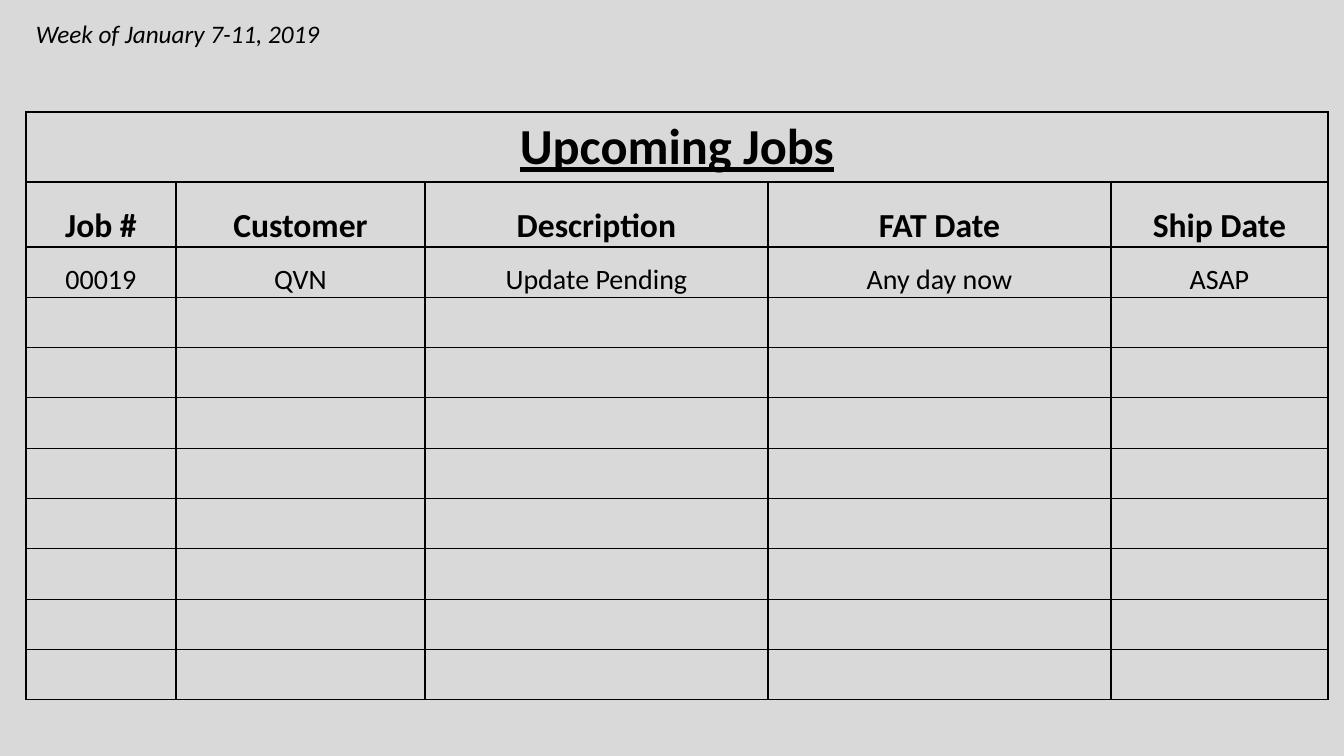
from lxml import etree
from pptx import Presentation, util as u
from pptx.dml.color import RGBColor
from pptx.enum import text
from pptx.oxml import ns

BACKGROUND = RGBColor(0xD9, 0xD9, 0xD9)
INK = RGBColor(0, 0, 0)
HEADERS = ["Job #", "Customer", "Description", "FAT Date", "Ship Date"]
JOB = ["00019", "QVN", "Update Pending", "Any day now", "ASAP"]
COLUMN_WIDTHS = [150, 249, 343, 343, 217]
TITLE_HEIGHT, HEADER_HEIGHT, BODY_HEIGHT, BODY_ROWS = 70, 65, 453, 9


class JobSlide:
    """Holds the style and the current slide, and adds its elements."""

    font_name = "Calibri"
    scale = 914400 / 100.8

    def __init__(self, presentation):
        presentation.slide_width = self.px(1344)
        presentation.slide_height = self.px(756)
        self.slide = presentation.slides.add_slide(presentation.slide_layouts[6])
        fill = self.slide.background.fill
        fill.solid()
        fill.fore_color.rgb = BACKGROUND

    def px(self, length):
        return u.Emu(round(length * self.scale))

    def set_text(self, frame, words, size, bold=False, italic=False, underline=False):
        paragraph = frame.paragraphs[0]
        paragraph.text = words
        font = paragraph.font
        font.name, font.size = self.font_name, u.Pt(size)
        font.bold, font.italic, font.underline = bold, italic, underline
        font.color.rgb = INK
        return paragraph

    def label(self, left, top, width, height, words, size, **style):
        box = self.slide.shapes.add_textbox(*map(self.px, (left, top, width, height)))
        box.text_frame.word_wrap = True
        box.text_frame.auto_size = text.MSO_AUTO_SIZE.SHAPE_TO_FIT_TEXT
        self.set_text(box.text_frame, words, size, **style)

    def table(self, left, top, widths, heights):
        frame = self.slide.shapes.add_table(
            len(heights), len(widths),
            *map(self.px, (left, top, sum(widths), sum(heights))))
        table = frame.table
        table.first_row = table.horz_banding = False
        for column, width in zip(table.columns, widths):
            column.width = self.px(width)
        for row, height in zip(table.rows, heights):
            row.height = self.px(height)
        for cell in table.iter_cells():
            self.border(cell)
            cell.fill.background()
        return table

    def border(self, cell):
        properties = cell._tc.get_or_add_tcPr()
        for side in ("a:lnL", "a:lnR", "a:lnT", "a:lnB"):
            line = etree.SubElement(properties, ns.qn(side), w=str(u.Pt(1)))
            fill = etree.SubElement(line, ns.qn("a:solidFill"))
            etree.SubElement(fill, ns.qn("a:srgbClr"), val=str(INK))

    def cell(self, cell, words, size, anchor=text.MSO_ANCHOR.BOTTOM, **style):
        cell.margin_left = cell.margin_right = cell.margin_top = self.px(1)
        cell.margin_bottom = 0
        cell.vertical_anchor = anchor
        paragraph = self.set_text(cell.text_frame, words, size, **style)
        paragraph.alignment = text.PP_ALIGN.CENTER


def main():
    presentation = Presentation()
    page = JobSlide(presentation)
    page.label(26, 13, 433, 40, "Week of January 7-11, 2019", 18, italic=True)

    heights = [TITLE_HEIGHT, HEADER_HEIGHT] + [BODY_HEIGHT / BODY_ROWS] * BODY_ROWS
    jobs = page.table(26, 112, COLUMN_WIDTHS, heights)
    title = jobs.cell(0, 0)
    title.merge(jobs.cell(0, len(HEADERS) - 1))
    page.cell(title, "Upcoming Jobs", 36, text.MSO_ANCHOR.MIDDLE,
              bold=True, underline=True)
    for column, (header, value) in enumerate(zip(HEADERS, JOB)):
        page.cell(jobs.cell(1, column), header, 24, bold=True)
        page.cell(jobs.cell(2, column), value, 20)

    presentation.save("out.pptx")


if __name__ == "__main__":
    main()
